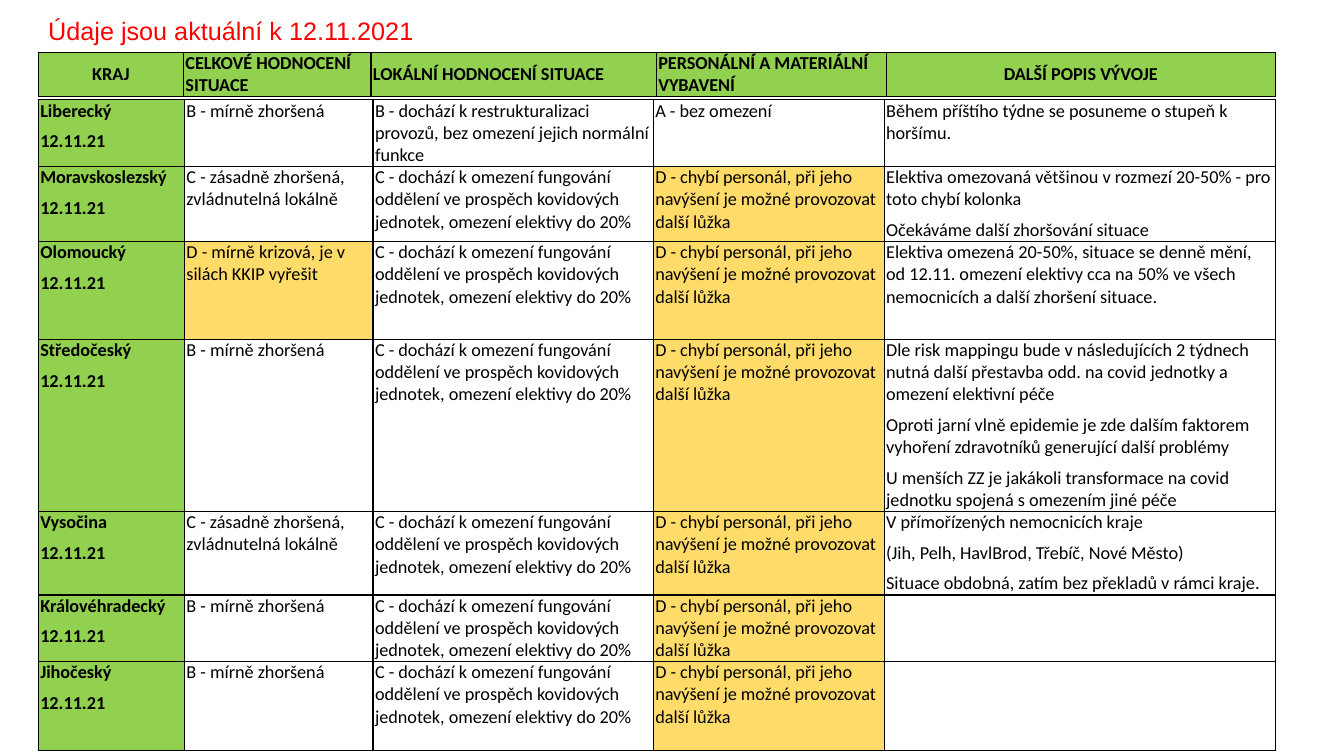
from lxml import etree
from pptx import Presentation
from pptx import util as u
from pptx.dml.color import RGBColor
from pptx.enum import text
from pptx.oxml.ns import qn

COLORS = {"green": "92D050", "amber": "FFDB69", "black": "000000", "red": "FF0000"}
LEFT = 0.38
HEADER_TOP, BODY_TOP = 0.52, 0.99
HEADER_COLS = [1.44, 1.86, 2.83, 2.28, 3.86]
BODY_COLS = [1.45, 1.87, 2.78, 2.29, 3.88]
HEADER_ROWS = [0.44]
BODY_ROWS = [0.66, 0.74, 0.97, 1.71, 0.82, 0.66, 0.88]

HEADERS = ["KRAJ", "CELKOVÉ HODNOCENÍ SITUACE", "LOKÁLNÍ HODNOCENÍ SITUACE",
           "PERSONÁLNÍ A MATERIÁLNÍ VYBAVENÍ", "DALŠÍ POPIS VÝVOJE"]
DATE = "12.11.21"
OVERALL = {
    "B": "B - mírně zhoršená",
    "C": "C - zásadně zhoršená, zvládnutelná lokálně",
    "D": "D - mírně krizová, je v silách KKIP vyřešit",
}
LOCAL = {
    "B": "B - dochází k restrukturalizaci provozů, bez omezení jejich normální funkce",
    "C": "C - dochází k omezení fungování oddělení ve prospěch kovidových jednotek, "
         "omezení elektivy do 20%",
}
STAFF = {
    "A": "A - bez omezení",
    "D": "D - chybí personál, při jeho navýšení je možné provozovat další lůžka",
}
REGIONS = [
    ("Liberecký", "BBA", ["Během příštího týdne se posuneme o stupeň k horšímu."]),
    ("Moravskoslezský", "CCD", [
        "Elektiva omezovaná většinou v rozmezí 20-50% - pro toto chybí kolonka",
        "Očekáváme další zhoršování situace"]),
    ("Olomoucký", "DCD", [
        "Elektiva omezená 20-50%, situace se denně mění, od 12.11. omezení elektivy "
        "cca na 50% ve všech nemocnicích a další zhoršení situace."]),
    ("Středočeský", "BCD", [
        "Dle risk mappingu bude v následujících 2 týdnech nutná další přestavba odd. "
        "na covid jednotky a omezení elektivní péče",
        "Oproti jarní vlně epidemie je zde dalším faktorem vyhoření zdravotníků "
        "generující další problémy",
        "U menších ZZ je jakákoli transformace na covid jednotku spojená "
        "s omezením jiné péče"]),
    ("Vysočina", "CCD", [
        "V přímořízených nemocnicích kraje",
        "(Jih, Pelh, HavlBrod, Třebíč, Nové Město)",
        "Situace obdobná, zatím bez překladů v rámci kraje."]),
    ("Královéhradecký", "BCD", []),
    ("Jihočeský", "BCD", []),
]


def rgb(name):
    return RGBColor.from_string(COLORS[name])


def set_font(p, name, size, color, bold=False):
    p.font.name = name
    p.font.size = u.Pt(size)
    p.font.bold = bold
    p.font.color.rgb = rgb(color)


def add_borders(cell):
    props = cell._tc.get_or_add_tcPr()
    for index, side in enumerate(("lnL", "lnR", "lnT", "lnB")):
        line = etree.Element(qn(f"a:{side}"), w=str(u.Pt(1)))
        fill = etree.SubElement(line, qn("a:solidFill"))
        etree.SubElement(fill, qn("a:srgbClr"), val=COLORS["black"])
        props.insert(index, line)


def fill_cell(cell, lines, fill=None, bold=False, centred=False):
    cell.margin_left = cell.margin_right = u.Inches(0.02)
    cell.margin_top = cell.margin_bottom = 0
    if fill:
        cell.fill.solid()
        cell.fill.fore_color.rgb = rgb(fill)
    else:
        cell.fill.background()
    add_borders(cell)
    tf = cell.text_frame
    for i, line in enumerate(lines or [""]):
        p = tf.add_paragraph() if i else tf.paragraphs[0]
        p.text = line
        if i:
            p.space_before = u.Pt(6)
        if centred:
            p.alignment = text.PP_ALIGN.CENTER
        set_font(p, "Calibri", 13, "black", bold)


def add_grid(slide, top, cols, rows):
    frame = slide.shapes.add_table(
        len(rows), len(cols), u.Inches(LEFT), u.Inches(top),
        u.Inches(sum(cols)), u.Inches(sum(rows)))
    table = frame.table
    table.first_row = table.horz_banding = False
    for column, width in zip(table.columns, cols):
        column.width = u.Inches(width)
    for row, height in zip(table.rows, rows):
        row.height = u.Inches(height)
    return table


def add_regions(slide):
    table = add_grid(slide, BODY_TOP, BODY_COLS, BODY_ROWS)
    for r, (region, grades, notes) in enumerate(REGIONS):
        fill_cell(table.cell(r, 0), [region, DATE], "green", bold=True)
        for c, (scale, grade) in enumerate(zip((OVERALL, LOCAL, STAFF), grades), 1):
            fill_cell(table.cell(r, c), [scale[grade]], "amber" if grade == "D" else None)
        fill_cell(table.cell(r, 4), notes)


def add_header(slide):
    table = add_grid(slide, HEADER_TOP, HEADER_COLS, HEADER_ROWS)
    for c, label in enumerate(HEADERS):
        cell = table.cell(0, c)
        fill_cell(cell, [label], "green", bold=True, centred=c in (0, 4))
        cell.vertical_anchor = text.MSO_ANCHOR.MIDDLE


def format_title(slide):
    title = slide.shapes.title
    title.left, title.top = 0, u.Inches(0.1)
    title.width, title.height = u.Inches(4.58), u.Inches(0.4)
    tf = title.text_frame
    tf.text = "Údaje jsou aktuální k 12.11.2021"
    tf.word_wrap = True
    tf.auto_size = text.MSO_AUTO_SIZE.NONE
    tf.vertical_anchor = text.MSO_ANCHOR.TOP
    p = tf.paragraphs[0]
    p.alignment = text.PP_ALIGN.CENTER
    set_font(p, "Arial", 18, "red")


def main():
    prs = Presentation()
    prs.slide_width, prs.slide_height = u.Inches(13.33), u.Inches(7.5)
    slide = prs.slides.add_slide(prs.slide_layouts[5])
    format_title(slide)
    add_regions(slide)
    add_header(slide)
    prs.save("out.pptx")


if __name__ == "__main__":
    main()
